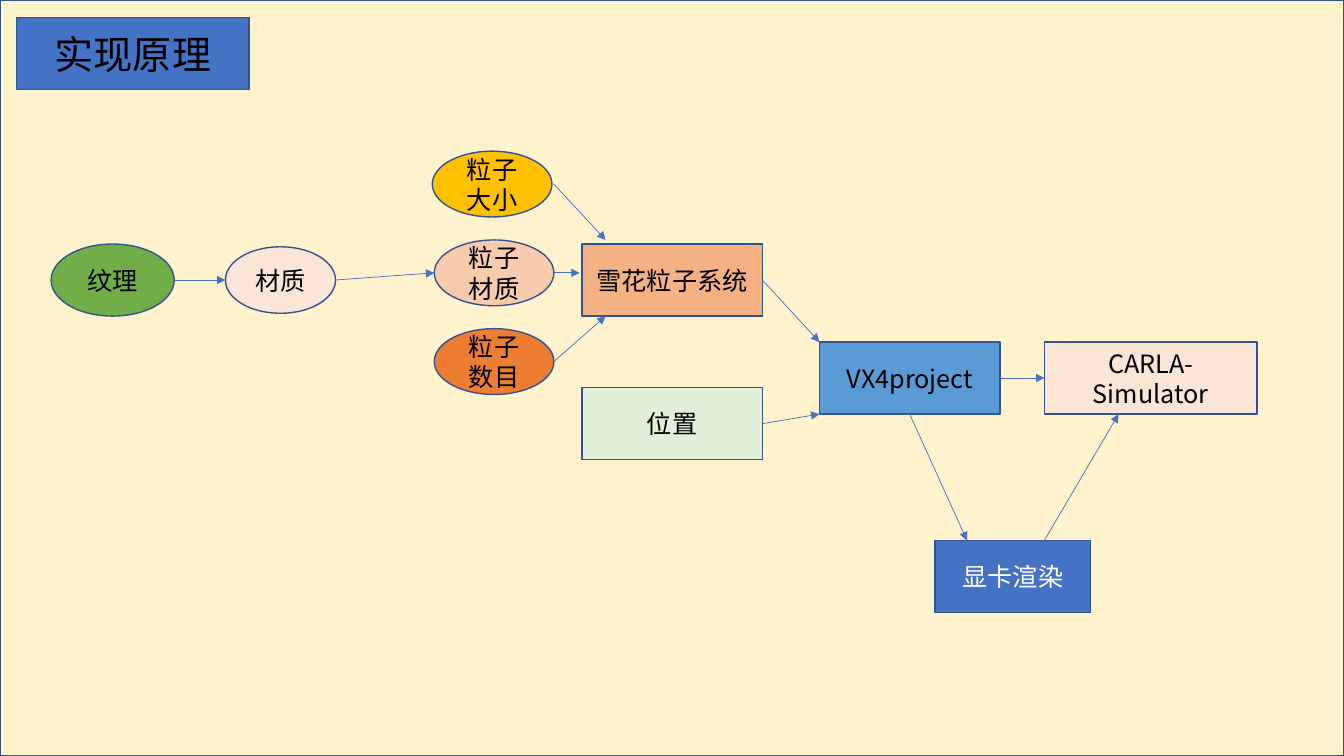
from dataclasses import dataclass

from lxml.etree import SubElement
from pptx import Presentation
from pptx.dml.color import RGBColor
from pptx.enum.shapes import MSO_CONNECTOR, MSO_SHAPE
from pptx.enum.text import MSO_ANCHOR, PP_ALIGN
from pptx.oxml.ns import qn
from pptx.util import Pt


@dataclass(frozen=True)
class Theme:
    font: str = "Noto Sans CJK SC"
    title: int = 28
    body: int = 18
    cream: str = "FFF2CC"
    blue: str = "4472C4"
    sky: str = "5B9BD5"
    outline: str = "325491"
    peach: str = "F4B183"
    blush: str = "FBE5D6"
    salmon: str = "F8CBAD"
    mint: str = "E2F0D9"
    green: str = "70AD47"
    gold: str = "FFC000"
    orange: str = "ED7D31"
    black: str = "000000"
    white: str = "FFFFFF"


class Diagram:
    def __init__(self, slide, theme):
        self.s, self.t = slide, theme

    def shape(self, kind, box, fill):
        sp = self.s.shapes.add_shape(kind, *map(Pt, box))
        sp.shadow.inherit = False
        sp.fill.solid()
        sp.fill.fore_color.rgb = RGBColor.from_string(fill)
        sp.line.color.rgb = RGBColor.from_string(self.t.outline)
        sp.line.width = Pt(1)
        return sp

    def label(self, kind, text, box, fill, size=None, color=None):
        sp = self.shape(kind, box, fill)
        tf = sp.text_frame
        for name, value in {"word_wrap": True,
                            "vertical_anchor": MSO_ANCHOR.MIDDLE}.items():
            setattr(tf, name, value)
        p = tf.paragraphs[0]
        p.alignment = PP_ALIGN.CENTER
        r = p.add_run()
        r.text = text
        r.font.color.rgb = RGBColor.from_string(color or self.t.black)
        for name, value in {"name": self.t.font,
                            "size": Pt(size or self.t.body)}.items():
            setattr(r.font, name, value)
        # East Asian typeface
        SubElement(r.font._element, qn("a:ea"), typeface=self.t.font)
        return sp

    def rect(self, *args, **kw):
        return self.label(MSO_SHAPE.RECTANGLE, *args, **kw)

    def oval(self, *args, **kw):
        return self.label(MSO_SHAPE.OVAL, *args, **kw)

    def arrow(self, start, end, begin=None, finish=None):
        cx = self.s.shapes.add_connector(
            MSO_CONNECTOR.STRAIGHT, *map(Pt, start + end))
        if begin:
            cx.begin_connect(*begin)
        if finish:
            cx.end_connect(*finish)
        cx.line.color.rgb = RGBColor.from_string(self.t.blue)
        cx.line.width = Pt(0.5)
        SubElement(cx.line._get_or_add_ln(), qn("a:tailEnd"), type="triangle")
        SubElement(cx._element.spPr, qn("a:effectLst"))


def main():
    prs = Presentation()
    prs.slide_width, prs.slide_height = Pt(960), Pt(540)
    t = Theme()
    d = Diagram(prs.slides.add_slide(prs.slide_layouts[6]), t)
    top, right, bottom, left = 0, 3, 2, 1
    h = 51.5

    # Background and title
    d.shape(MSO_SHAPE.RECTANGLE, (0, 0, 960, 540), t.cream)
    d.rect("实现原理", (12, 12.6, 166, h), t.blue, size=t.title)

    # Process boxes
    project = d.rect("VX4project", (585.3, 244.3, 129, h), t.sky)
    snow = d.rect("雪花粒子系统", (415.6, 174.3, 129, h), t.peach)
    simulator = d.rect("CARLA-Simulator", (746, 244.3, 152, h), t.blush)
    place = d.rect("位置", (415.6, 276.9, 129, h), t.mint)
    d.rect("显卡渲染", (668, 386, 111, h), t.blue, color=t.white)

    # Texture and material
    d.oval("纹理", (36.5, 174.3, 88, h), t.green)
    d.oval("材质", (161, 176.3, 78.7, 47.5), t.blush)

    # Particle properties, evenly stacked
    particles = [("粒子大小", 308.8, t.gold), ("粒子材质", 310.2, t.salmon),
                 ("粒子数目", 310.2, t.orange)]
    targets = [(432.6, 171.4), (414, 194.9), (432.6, 225.8)]
    for i, ((text, x, fill), target) in enumerate(zip(particles, targets)):
        y = 108 + 63.4 * i
        d.oval(text, (x, y, 85.5, 47), fill)
        d.arrow((395.6, y + 23.5), target)

    # Flow arrows
    d.arrow((124.5, 200), (161, 200))
    d.arrow((239.7, 200), (310.2, 194.9))
    d.arrow((544.6, 200), (585.3, 244.3), begin=(snow, right))
    d.arrow((544.6, 302.6), (585.3, 295.8), begin=(place, right))
    d.arrow((714.3, 270), (746, 270), (project, right), (simulator, left))
    d.arrow((649.8, 295.8), (690.7, 386), begin=(project, bottom))
    d.arrow((746, 386), (799, 295.8))

    prs.save("out.pptx")


if __name__ == "__main__":
    main()
